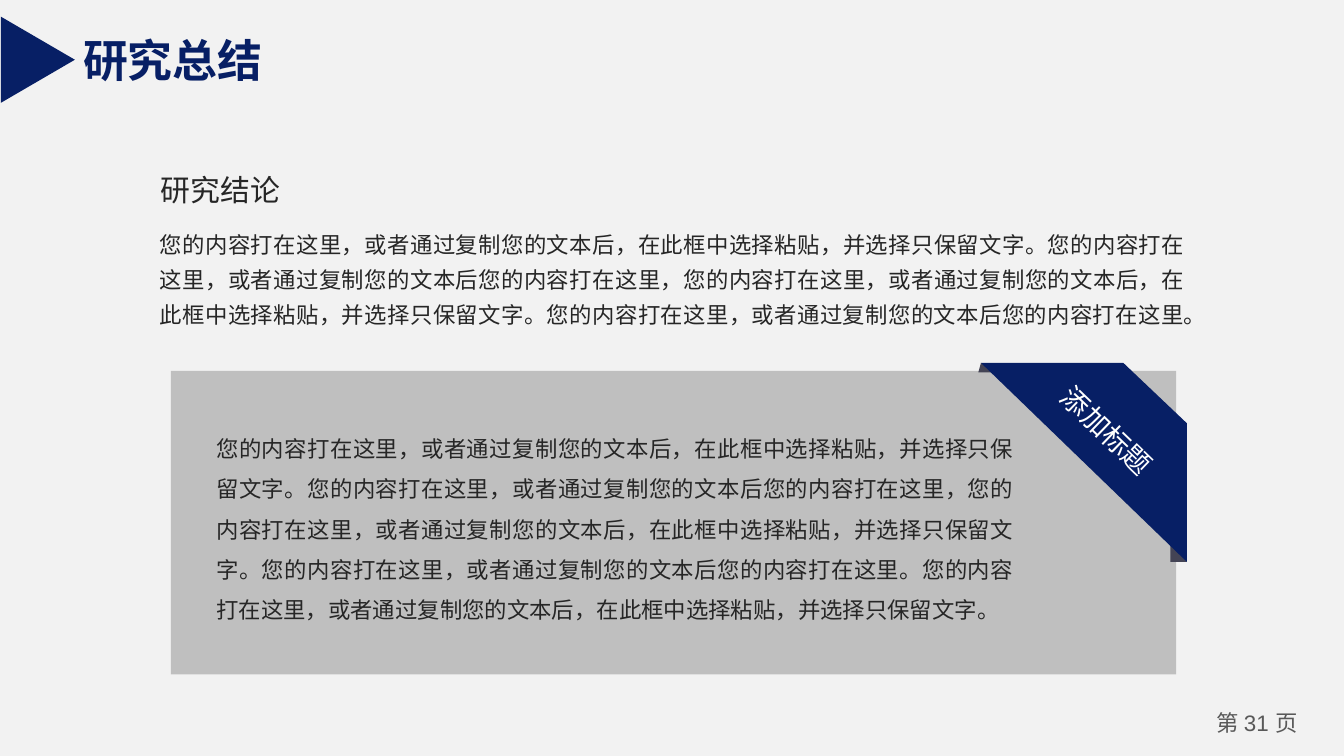
from lxml import etree
from pptx import Presentation
from pptx import util as u
from pptx.dml.color import RGBColor
from pptx.enum import shapes, text
from pptx.oxml import ns

NAVY, FOLD, PANEL, BACKGROUND = "071F65", "444455", "BFBFBF", "F2F2F2"
INK, GREY, WHITE = "262626", "595959", "FFFFFF"
CJK, LATIN = "Noto Sans CJK SC", "Arial"

SENTENCE = "您的内容打在这里，或者通过复制您的文本后，在此框中选择粘贴，并选择只保留文字。"
CLAUSE = "您的内容打在这里，或者通过复制您的文本后您的内容打在这里"
CONCLUSION = f"{SENTENCE}{CLAUSE}，{SENTENCE}{CLAUSE}。"


def color(value):
    return RGBColor.from_string(value)


def apply(target, values):
    for name, value in values.items():
        setattr(target, name, value)


class SlideBuilder:
    def __init__(self, presentation):
        self.slide = presentation.slides.add_slide(presentation.slide_layouts[6])
        self.paint(self.slide.background, BACKGROUND)

    def paint(self, target, fill):
        target.fill.solid()
        target.fill.fore_color.rgb = color(fill)

    def finish(self, shape, fill):
        """Give a shape a flat fill without outline or shadow."""
        self.paint(shape, fill)
        shape.line.fill.background()
        shape.shadow.inherit = False
        return shape

    def preset(self, kind, box, fill, rotation=0):
        shape = self.slide.shapes.add_shape(kind, *map(u.Cm, box))
        shape.rotation = rotation
        return self.finish(shape, fill)

    def polygon(self, points, fill):
        start, *rest = [(u.Cm(x), u.Cm(y)) for x, y in points]
        builder = self.slide.shapes.build_freeform(*start)
        builder.add_line_segments(rest, close=True)
        return self.finish(builder.convert_to_shape(), fill)

    def label(self, box, runs, size, fill, wrap=True, inset=(0.25, 0.13),
              rotation=0, bold=False, **paragraph_format):
        """Add a one-paragraph text box; runs are (text, Latin font) pairs."""
        shape = self.slide.shapes.add_textbox(*map(u.Cm, box))
        shape.rotation = rotation
        across, down = map(u.Cm, inset)
        frame = shape.text_frame
        apply(frame, {"word_wrap": wrap, "margin_left": across, "margin_right": across,
                      "margin_top": down, "margin_bottom": down})
        paragraph = frame.paragraphs[0]
        apply(paragraph, paragraph_format)
        for content, font in runs:
            run = paragraph.add_run()
            run.text = content
            apply(run.font, {"name": font, "size": u.Pt(size), "bold": bold})
            run.font.color.rgb = color(fill)
            east_asian = etree.SubElement(run.font._element, ns.qn("a:ea"))
            east_asian.set("typeface", CJK)
        return shape


def main():
    presentation = Presentation()
    apply(presentation, {"slide_width": u.Cm(25.4), "slide_height": u.Cm(14.29)})
    builder = SlideBuilder(presentation)
    justify = text.PP_ALIGN.JUSTIFY
    narrow = (0.18, 0.1)

    builder.label((22.61, 13.31, 2.29, 0.76),
                  [("第 ", CJK), ("31 ", LATIN), ("页", CJK)], 12, GREY,
                  inset=narrow, alignment=text.PP_ALIGN.CENTER)
    builder.label((2.77, 4.09, 19.89, 2.26), [(CONCLUSION, CJK)], 12, INK,
                  alignment=justify, line_spacing=1.3)
    builder.label((2.79, 3.12, 2.79, 0.94), [("研究结论", CJK)], 16, INK, wrap=False)

    builder.preset(shapes.MSO_SHAPE.RECTANGLE, (3.23, 7.01, 19, 5.74), PANEL)
    builder.label((3.91, 7.87, 15.44, 4.04), [(CONCLUSION + SENTENCE, CJK)], 12, INK,
                  inset=narrow, alignment=justify, line_spacing=1.5)

    top, bottom, left, right = 6.86, 10.62, 18.54, 22.43
    builder.polygon([(right, bottom), (22.12, bottom), (22.12, 10.26)], FOLD)
    builder.polygon([(left, top), (18.49, 7.04), (18.82, 7.04)], FOLD)
    builder.polygon([(left, top), (right, bottom), (right, 8), (21.23, top)], NAVY)
    builder.label((19.61, 7.7, 2.64, 0.89), [("添加标题", CJK)], 15, WHITE,
                  wrap=False, rotation=44)

    builder.label((1.32, 0.48, 3.94, 1.27), [("研究总结", LATIN)], 24, NAVY,
                  wrap=False, bold=True)
    builder.preset(shapes.MSO_SHAPE.ISOSCELES_TRIANGLE, (-0.1, 0.43, 1.63, 1.4), NAVY,
                   rotation=90)
    presentation.save("out.pptx")


if __name__ == "__main__":
    main()
